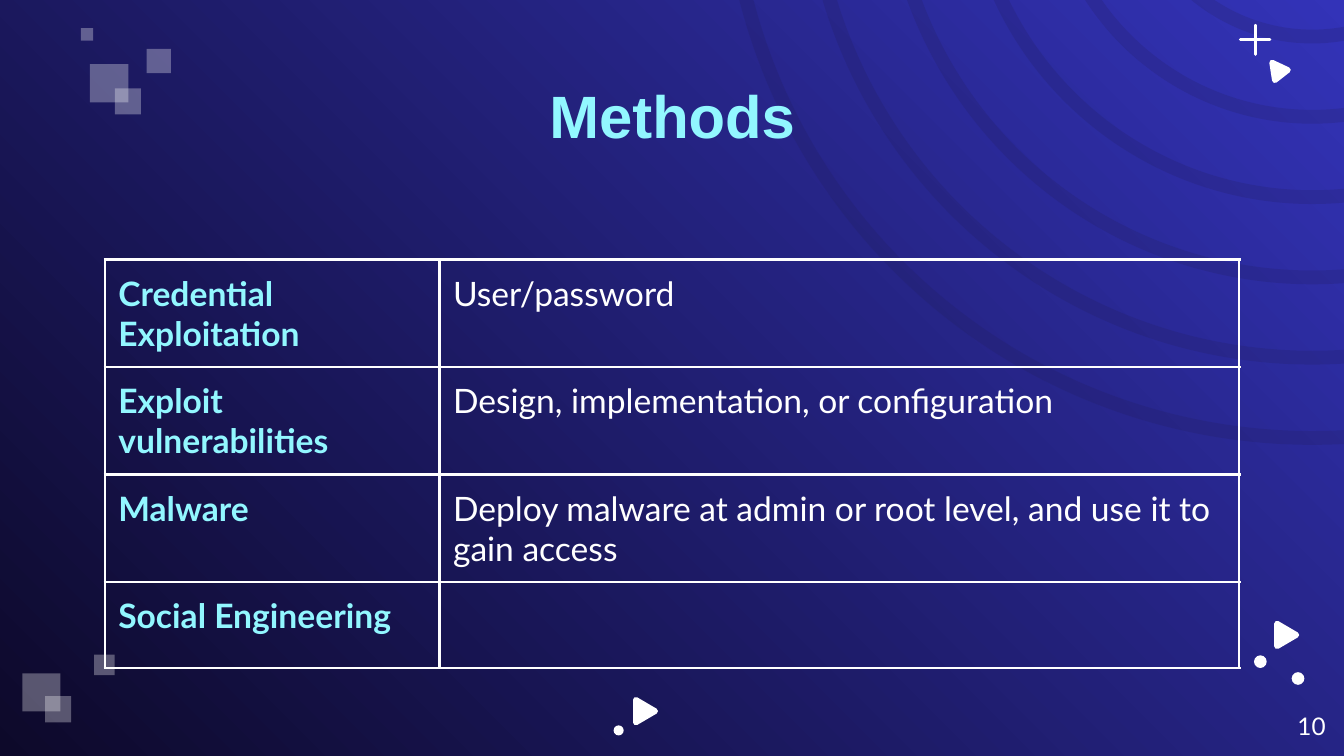
"""Builds the Methods slide: a four-row table on a decorated gradient background."""
from lxml import etree
from pptx import Presentation
from pptx.dml.color import RGBColor
from pptx.enum import shapes, text
from pptx.oxml.ns import qn
from pptx.util import Pt

THEME = {
    "dark": "0D092A", "light": "3333B8", "ring": "201A4A", "white": "FFFFFF", "accent": "92F7FF",
    "title_font": "Arial", "body_font": "Lato", "title": 32, "body": 18, "number": 13,
}
TITLE = "Methods"
NUMBER = "10"
METHODS = [
    ("Credential Exploitation", "User/password"),
    ("Exploit vulnerabilities", "Design, implementation, or configuration"),
    ("Malware", "Deploy malware at admin or root level, and use it to gain access"),
    ("Social Engineering", ""),
]
COLUMNS = (179.3, 428.4)
ROW_HEIGHT = 46.1
TABLE_AT = (56.2, 139)
MARGIN = 7.2

RING_CENTRE = (703, -78.5)
RING_RADII = [316.8 - 43 * i for i in range(6)]
RING_WIDTH = 7.4
SQUARES = [
    (48.2, 34.3, 20.6), (61.5, 47.3, 14), (78.5, 26.2, 13), (43.3, 15.1, 6.7),
    (50.5, 350.8, 11), (12, 360.8, 20.4), (24.2, 373, 14),
]
DOTS = [(692, 360.1, 6.8), (328.7, 388.6, 5.4), (671.8, 351.1, 6.8)]
PLUS = [(672.4, 13.5, 672.4, 29.2), (664.5, 21.3, 680.3, 21.3)]
ARROW = [(0, 0), (0, 12.2), (10.4, 6.1)]
TRIANGLES = [
    (681.5, 33.5, [(0, 0), (1.5, 9.5), (8.5, 4)]),
    (684.1, 334.1, ARROW),
    (340.6, 374.9, ARROW),
]


def rgb(name):
    return RGBColor.from_string(THEME[name])


def paint(sp, color, opacity=None):
    sp.shadow.inherit = False
    sp.fill.solid()
    sp.fill.fore_color.rgb = rgb(color)
    sp.line.fill.background()
    if opacity:
        clr = sp._element.spPr.find(qn("a:solidFill"))[0]
        etree.SubElement(clr, qn("a:alpha"), val=str(opacity * 1000))


def add_preset(s, kind, x, y, size, color, opacity=None):
    sp = s.shapes.add_shape(kind, Pt(x), Pt(y), Pt(size), Pt(size))
    paint(sp, color, opacity)
    return sp


def add_triangle(s, x, y, points):
    corners = [(Pt(x + dx), Pt(y + dy)) for dx, dy in points]
    builder = s.shapes.build_freeform(*corners[0])
    builder.add_line_segments(corners[1:], close=True)
    sp = builder.convert_to_shape()
    paint(sp, "white")
    sp.line.color.rgb = rgb("white")
    sp.line.width = Pt(3)
    etree.SubElement(sp.line._get_or_add_ln(), qn("a:round"))


def add_stroke(s, x1, y1, x2, y2):
    line = s.shapes.add_connector(shapes.MSO_CONNECTOR.STRAIGHT, Pt(x1), Pt(y1), Pt(x2), Pt(y2))
    line.line.color.rgb = rgb("white")
    line.line.width = Pt(1.5)
    line.line._get_or_add_ln().set("cap", "rnd")
    etree.SubElement(line._element.spPr, qn("a:effectLst"))


def style(p, font, size, color, bold=False):
    for r in p.runs:
        r.font.name, r.font.size, r.font.bold = THEME[font], Pt(THEME[size]), bold
        r.font.color.rgb = rgb(color)


def add_text(s, box, words, align, anchor, *look):
    tf = s.shapes.add_textbox(*map(Pt, box)).text_frame
    tf.word_wrap = True
    tf.margin_left = tf.margin_right = tf.margin_top = tf.margin_bottom = Pt(MARGIN)
    tf.vertical_anchor = anchor
    tf.text = words
    tf.paragraphs[0].alignment = align
    style(tf.paragraphs[0], *look)


def add_borders(cell):
    tc_pr = cell._tc.get_or_add_tcPr()
    for i, side in enumerate(("lnL", "lnR", "lnT", "lnB")):
        ln = etree.Element(qn(f"a:{side}"), w=str(Pt(1.5)))
        fill = etree.SubElement(ln, qn("a:solidFill"))
        etree.SubElement(fill, qn("a:srgbClr"), val=THEME["white"])
        tc_pr.insert(i, ln)


def add_methods(s):
    size = (sum(COLUMNS), ROW_HEIGHT * len(METHODS))
    frame = s.shapes.add_table(len(METHODS), len(COLUMNS), *map(Pt, TABLE_AT + size))
    table = frame.table
    table.first_row = table.horz_banding = False
    for column, width in zip(table.columns, COLUMNS):
        column.width = Pt(width)
    for i, row in enumerate(METHODS):
        table.rows[i].height = Pt(ROW_HEIGHT)
        for j, words in enumerate(row):
            cell = table.cell(i, j)
            cell.margin_left = cell.margin_right = cell.margin_top = cell.margin_bottom = Pt(MARGIN)
            cell.fill.background()
            add_borders(cell)
            p = cell.text_frame.paragraphs[0]
            if words:
                p.text = words
            if j:
                p.space_after = Pt(16)
            style(p, "body_font", "body", "white" if j else "accent", j == 0)


def add_decoration(s):
    cx, cy = RING_CENTRE
    kinds = shapes.MSO_SHAPE
    for radius in RING_RADII:
        ring = add_preset(s, kinds.DONUT, cx - radius, cy - radius, 2 * radius, "ring", 17)
        ring.adjustments[0] = RING_WIDTH / (2 * radius)
    for square in SQUARES:
        add_preset(s, kinds.RECTANGLE, *square, "white", 31)
    for dot in DOTS:
        add_preset(s, kinds.OVAL, *dot, "white")
    for stroke in PLUS:
        add_stroke(s, *stroke)
    for triangle in TRIANGLES:
        add_triangle(s, *triangle)


def main():
    prs = Presentation()
    prs.slide_width, prs.slide_height = Pt(720), Pt(405)
    s = prs.slides.add_slide(prs.slide_layouts[6])
    fill = s.background.fill
    fill.gradient()
    fill.gradient_angle = 45
    for stop, color in zip(fill.gradient_stops, ("dark", "light")):
        stop.color.rgb = rgb(color)
    add_decoration(s)
    add_text(s, (56.7, 42.5, 607, 37.4), TITLE, text.PP_ALIGN.CENTER, text.MSO_ANCHOR.MIDDLE,
             "title_font", "title", "accent", True)
    add_methods(s)
    add_text(s, (674, 373.7, 43.2, 31), NUMBER, text.PP_ALIGN.RIGHT, text.MSO_ANCHOR.TOP,
             "body_font", "number", "white")
    prs.save("out.pptx")


if __name__ == "__main__":
    main()
